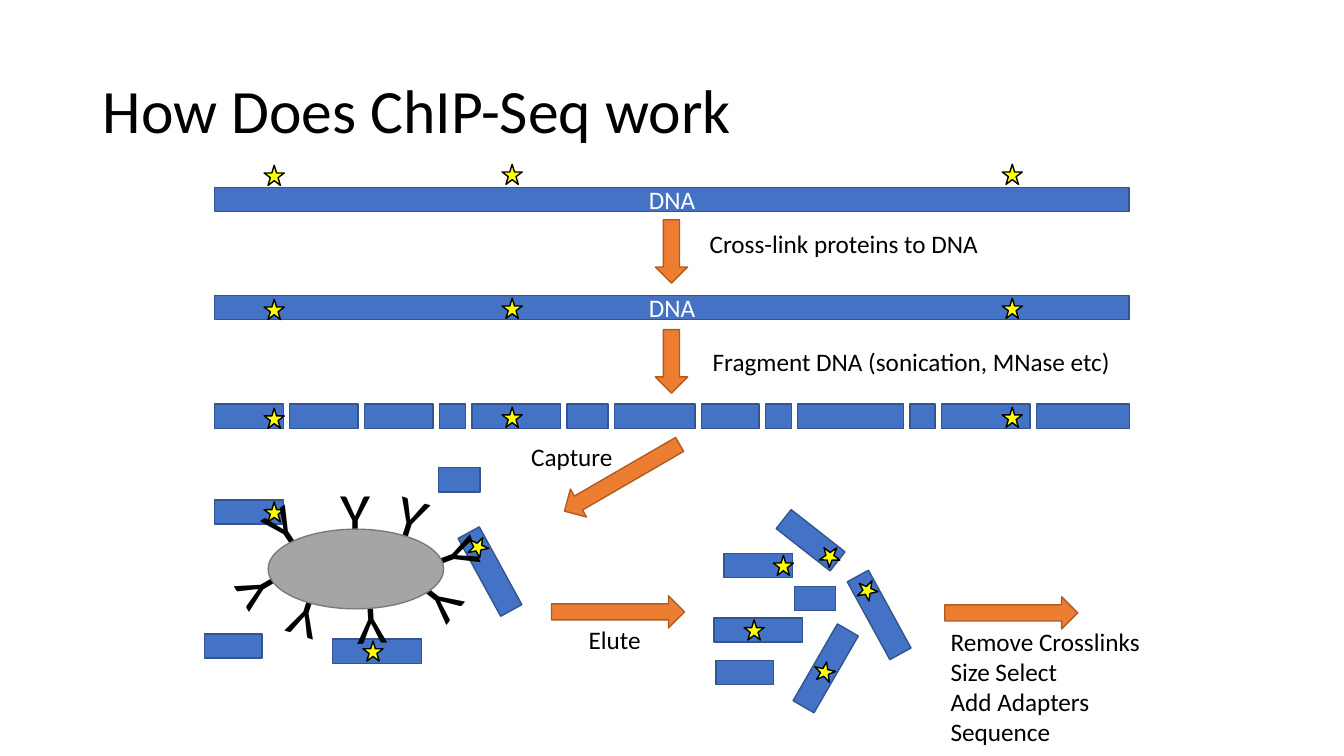
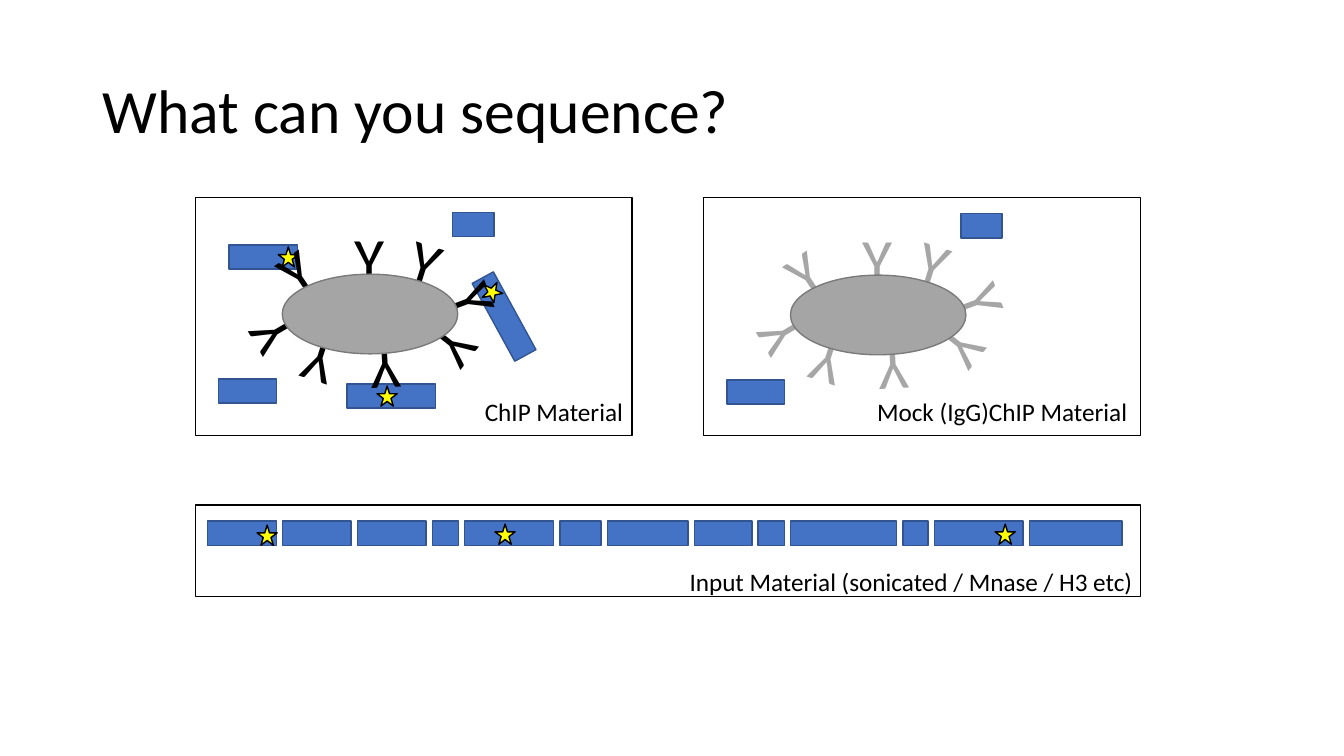
from dataclasses import dataclass
from math import cos, radians, sin

from pptx import Presentation
from pptx.dml.color import RGBColor
from pptx.enum.shapes import MSO_SHAPE
from pptx.enum.text import MSO_ANCHOR, MSO_AUTO_SIZE, PP_ALIGN
from pptx.util import Inches, Pt


@dataclass(frozen=True)
class Theme:
    """Colours, type and common sizes of the deck."""
    font: str = "Calibri"
    title_pt: int = 44
    body_pt: int = 18
    antibody_pt: int = 44
    line_pt: int = 1
    black: str = "000000"
    white: str = "FFFFFF"
    dna: str = "4472C4"
    dna_line: str = "325491"
    arrow: str = "ED7D31"
    arrow_line: str = "AF5C24"
    protein: str = "FFFF00"
    bead: str = "A5A5A5"
    bead_line: str = "7A7A7A"
    mock: str = "A6A6A6"
    dna_h: float = 0.24
    star: float = 0.2


T = Theme()

STRAND_W = 9.07
STRAND_STARS = [(0.49, 0.01), (2.85, 0), (7.81, 0)]
FRAGMENT_WIDTHS = [0.68, 0.68, 0.68, 0.26, 0.88, 0.41, 0.8,
                   0.57, 0.26, 1.05, 0.25, 0.88, 0.92]

# Offsets from the bead's top left corner: x, y, then rotation or width
ANTIBODIES = [(0.62, -0.59, 0), (1.18, -0.55, 17.6), (1.67, -0.17, 69.4),
              (1.49, 0.33, 128.4), (0.77, 0.56, 176.9), (0.1, 0.49, 197.8),
              (-0.38, 0.2, 239.4), (-0.12, -0.45, 326)]
BOUND = [(0.64, 1.09, 0.88, 0, -0.04), (-0.53, -0.29, 0.68, 0, 0.25),
         (1.76, 0.3, 0.88, 241.3, 0.27)]
UNBOUND = [(1.69, -0.61, 0.41), (-0.63, 1.04, 0.57)]
ELUTED = [(1.2, 0.74, 0.88, 241.3, 0.27), (0.1, 0.25, 0.68, 0, 0.25),
          (0, 0.89, 0.88, 0, -0.04), (0.8, 0.58, 0.41),
          (0.62, 0, 0.68, 38.1, 0.25), (0.02, 1.31, 0.57),
          (0.67, 1.27, 0.88, 300, -0.04)]


def rgb(code):
    """Turn a hex code into a colour."""
    return RGBColor.from_string(code)


def style(p, size, color):
    """Set the font of a paragraph."""
    p.font.name = T.font
    p.font.size = Pt(size)
    p.font.color.rgb = rgb(color)


def draw(s, kind, x, y, w, h, fill, line, rot=0):
    """Add a flat preset shape."""
    sp = s.shapes.add_shape(kind, Inches(x), Inches(y), Inches(w), Inches(h))
    sp.shadow.inherit = False
    sp.fill.solid()
    sp.fill.fore_color.rgb = rgb(fill)
    sp.line.color.rgb = rgb(line)
    sp.line.width = Pt(T.line_pt)
    sp.rotation = rot
    return sp


def label(s, x, y, w, text, h=0.4, size=T.body_pt, color=T.black, rot=0):
    """Add unwrapped text, one paragraph a line."""
    sp = s.shapes.add_textbox(Inches(x), Inches(y), Inches(w), Inches(h))
    sp.rotation = rot
    tf = sp.text_frame
    tf.word_wrap = False
    tf.auto_size = MSO_AUTO_SIZE.SHAPE_TO_FIT_TEXT
    tf.text = text
    for p in tf.paragraphs:
        style(p, size, color)


def title_slide(prs, text):
    """Add a title-only slide with its title in place."""
    s = prs.slides.add_slide(prs.slide_layouts[5])
    sp = s.shapes.title
    sp.left, sp.top = Inches(0.92), Inches(0.4)
    sp.width, sp.height = Inches(11.5), Inches(1.45)
    tf = sp.text_frame
    tf.text = text
    tf.word_wrap = True
    tf.auto_size = MSO_AUTO_SIZE.NONE
    tf.vertical_anchor = MSO_ANCHOR.MIDDLE
    p = tf.paragraphs[0]
    p.alignment = PP_ALIGN.LEFT
    p.line_spacing = 0.9
    style(p, T.title_pt, T.black)
    return s


def dna(s, x, y, w, rot=0):
    """Add one DNA bar."""
    return draw(s, MSO_SHAPE.RECTANGLE, x, y, w, T.dna_h, T.dna, T.dna_line, rot)


def protein(s, x, y, rot=0):
    """Add one protein star."""
    draw(s, MSO_SHAPE.STAR_5_POINT, x, y, T.star, T.star, T.protein, T.black, rot)


def fragment(s, x, y, w, rot=0, along=None):
    """Add a fragment, with a protein at a distance along it from its centre."""
    dna(s, x, y, w, rot)
    if along is not None:
        cx = x + w / 2 + along * cos(radians(rot))
        cy = y + T.dna_h / 2 + along * sin(radians(rot))
        protein(s, cx - T.star / 2, cy - T.star / 2, rot)


def fragments(s, x, y, pieces):
    """Place fragments relative to a corner."""
    for dx, dy, *rest in pieces:
        fragment(s, x + dx, y + dy, *rest)


def proteins(s, x, y):
    """Place the three proteins of a strand."""
    for dx, dy in STRAND_STARS:
        protein(s, x + dx, y + dy)


def strand(s, x, y, star_dy):
    """Add a whole DNA strand with its proteins."""
    sp = dna(s, x, y, STRAND_W)
    tf = sp.text_frame
    tf.text = "DNA"
    tf.vertical_anchor = MSO_ANCHOR.MIDDLE
    p = tf.paragraphs[0]
    p.alignment = PP_ALIGN.CENTER
    style(p, T.body_pt, T.white)
    proteins(s, x, y + star_dy)


def cut_strand(s, x, y):
    """Add a strand cut into evenly spaced fragments."""
    gap = (STRAND_W - sum(FRAGMENT_WIDTHS)) / (len(FRAGMENT_WIDTHS) - 1)
    left = x
    for w in FRAGMENT_WIDTHS:
        dna(s, left, y, w)
        left += w + gap
    proteins(s, x, y + 0.03)


def bead(s, x, y, color=T.black, bound=BOUND):
    """Add a bead with antibodies, bound and unbound fragments."""
    fragments(s, x, y, bound)
    for dx, dy, rot in ANTIBODIES:
        label(s, x + dx, y + dy, 0.5, "Y", 0.84, T.antibody_pt, color, rot)
    draw(s, MSO_SHAPE.OVAL, x, y, 1.74, 0.79, T.bead, T.bead_line)
    fragments(s, x, y, UNBOUND)


def arrow(s, x, y, h, rot=0):
    """Add a step arrow."""
    draw(s, MSO_SHAPE.DOWN_ARROW, x, y, 0.32, h, T.arrow, T.arrow_line, rot)


def panel(s, x, y, w, h, text, dx, dy, text_w):
    """Add a framed panel with a label at an offset."""
    draw(s, MSO_SHAPE.RECTANGLE, x, y, w, h, T.white, T.black)
    label(s, x + dx, y + dy, text_w, text)


def workflow_slide(prs):
    """Build the slide of the ChIP-Seq steps."""
    s = title_slide(prs, "How Does ChIP-Seq work")
    x = 2.13
    strand(s, x, 1.86, -0.23)
    strand(s, x, 2.93, 0.03)
    cut_strand(s, x, 4.01)
    bead(s, 2.66, 5.25)
    fragments(s, 7.08, 5.24, ELUTED)
    for step in [(6.5, 2.18, 0.63), (6.5, 3.27, 0.63), (6.01, 4.08, 1.32, 59.9),
                 (5.97, 5.41, 1.32, 270), (9.87, 5.42, 1.32, 270)]:
        arrow(s, *step)
    label(s, 6.94, 2.22, 2.89, "Cross-link proteins to DNA")
    label(s, 6.97, 3.39, 4.19, "Fragment DNA (sonication, MNase etc)")
    label(s, 5.17, 4.33, 1.02, "Capture")
    label(s, 5.74, 6.14, 0.72, "Elute")
    label(s, 9.33, 6.16, 2.1,
          "Remove Crosslinks\nSize Select\nAdd Adapters\nSequence", 1.31)


def material_slide(prs):
    """Build the slide of the materials to sequence."""
    s = title_slide(prs, "What can you sequence?")
    left, right, top, w, h = 1.94, 6.98, 1.96, 4.33, 2.36
    panel(s, left, top, w, h, "ChIP Material", 2.77, 1.92, 1.59)
    bead(s, left + 0.86, top + 0.76)
    panel(s, right, top, w, h, "Mock (IgG)ChIP Material", 1.62, 1.92, 2.71)
    bead(s, right + 0.86, top + 0.77, T.mock, [])
    panel(s, left, 5.01, right + w - left, 0.91,
          "Input Material (sonicated / Mnase / H3 etc)", 4.8, 0.56, 4.65)
    cut_strand(s, left + 0.12, 5.17)


def main():
    """Build and save the deck."""
    prs = Presentation()
    prs.slide_width, prs.slide_height = Inches(13.33), Inches(7.5)
    workflow_slide(prs)
    material_slide(prs)
    prs.save("out.pptx")


if __name__ == "__main__":
    main()
